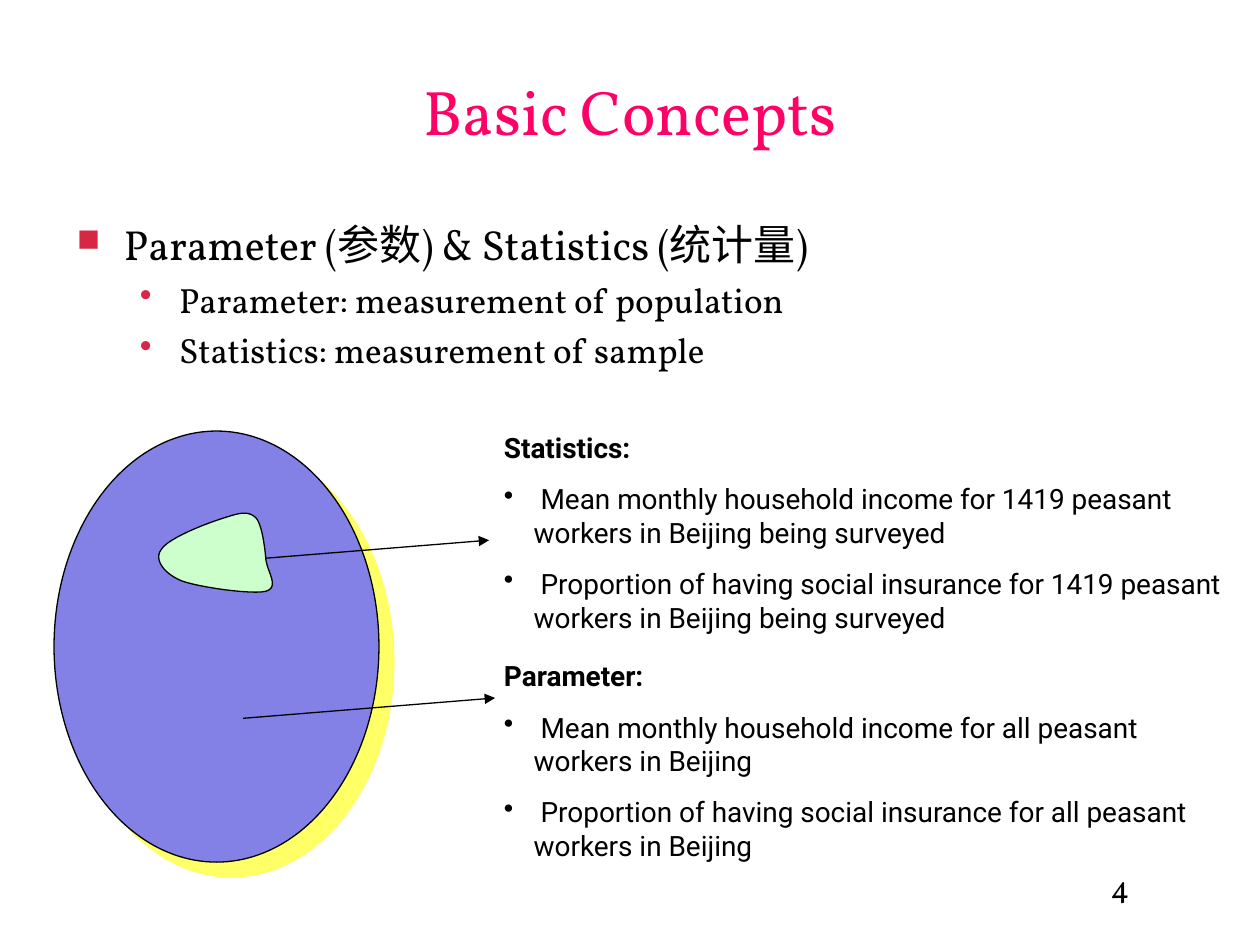
import collections
import dataclasses

import pptx
import pptx.dml.color
import pptx.enum.shapes
import pptx.enum.text
import pptx.oxml
import pptx.oxml.ns
import pptx.util
from lxml import etree

Cm = pptx.util.Cm
Pt = pptx.util.Pt
Align = pptx.enum.text.PP_ALIGN
Anchor = pptx.enum.text.MSO_ANCHOR
Box = collections.namedtuple("Box", "left top width height")


@dataclasses.dataclass(frozen=True)
class Theme:
    serif: str = "Vollkorn"
    sans: str = "Roboto"
    ink: str = "000000"
    title: str = "FF0066"
    bullet: str = "D62845"
    population: str = "8381E5"
    sample: str = "CCFFCC"
    shadow: str = "FFFF66"
    title_size: int = 36
    topic_size: int = 24
    point_size: int = 20
    note_size: int = 16
    number_size: int = 18
    line: float = 0.75


THEME = Theme()


def rgb(value):
    return pptx.dml.color.RGBColor.from_string(value)


def add_xml(parent, tag, **attributes):
    child = etree.SubElement(parent, pptx.oxml.ns.qn(tag))
    for name, value in attributes.items():
        child.set(name, str(value))
    return child


def add_text_frame(page, box, anchor=Anchor.TOP, wrap=True):
    shape = page.shapes.add_textbox(*(Cm(length) for length in box))
    frame = shape.text_frame
    frame.word_wrap = wrap
    frame.vertical_anchor = anchor
    return frame


def add_para(frame, text, font=THEME.serif, size=THEME.point_size, color=THEME.ink,
             bold=False, align=Align.LEFT, before=0, bullet=None,
             bullet_color=THEME.ink, bullet_percent=100, indent=0, hang=0, level=0):
    """Fill the first empty paragraph, or append one; indent and hang are in cm."""
    para = frame.paragraphs[0]
    if para.runs:
        para = frame.add_paragraph()
    para.alignment = align
    para.level = level
    para.space_before = Pt(before)
    properties = para._p.get_or_add_pPr()
    properties.set("marL", str(Cm(indent)))
    properties.set("indent", str(-Cm(hang)))
    if bullet:
        add_xml(add_xml(properties, "a:buClr"), "a:srgbClr", val=bullet_color)
        add_xml(properties, "a:buSzPct", val=bullet_percent * 1000)
        add_xml(properties, "a:buChar", char=bullet)
    span = para.add_run()
    span.text = text
    span.font.name = font
    span.font.size = Pt(size)
    span.font.bold = bold
    span.font.color.rgb = rgb(color)


def paint(shape, fill):
    shape.shadow.inherit = False
    shape.fill.solid()
    shape.fill.fore_color.rgb = rgb(fill)
    shape.line.color.rgb = rgb(THEME.ink)
    shape.line.width = Pt(THEME.line)


def add_arrow(page, left, top, run, rise):
    arrow = page.shapes.add_connector(
        pptx.enum.shapes.MSO_CONNECTOR.STRAIGHT,
        Cm(left), Cm(top), Cm(left + run), Cm(top - rise))
    arrow.line.color.rgb = rgb(THEME.ink)
    arrow.line.width = Pt(THEME.line)
    add_xml(arrow.line._get_or_add_ln(), "a:tailEnd", type="triangle")
    add_xml(arrow._element.spPr, "a:effectLst")


def curve_points(start, curves, steps=12):
    """Sample a chain of cubic curves, each given as two handles and an end."""
    for first, second, end in curves:
        for step in range(1, steps + 1):
            t = step / steps
            u = 1 - t
            weights = (u ** 3, 3 * u * u * t, 3 * u * t * t, t ** 3)
            corners = (start, first, second, end)
            yield tuple(sum(w * corner[axis] for w, corner in zip(weights, corners))
                        for axis in (0, 1))
        start = end


def add_sample(page, left, top):
    start = (1.42, 0.15)
    curves = [
        ((1.09, 0.25), (0.28, 0.56), (0.15, 0.79)),
        ((0, 0.99), (0.2, 1.27), (0.56, 1.42)),
        ((0.91, 1.55), (1.98, 1.7), (2.26, 1.63)),
        ((2.54, 1.55), (2.29, 1.24), (2.26, 0.99)),
        ((2.24, 0.74), (2.18, 0.28), (2.06, 0.15)),
        ((1.9, 0), (1.73, 0.05), start),
    ]
    builder = page.shapes.build_freeform(Cm(start[0]), Cm(start[1]))
    builder.add_line_segments([(Cm(x), Cm(y)) for x, y in curve_points(start, curves)])
    paint(builder.convert_to_shape(Cm(left), Cm(top)), THEME.sample)


def add_population_diagram(page, box):
    population = page.shapes.add_shape(
        pptx.enum.shapes.MSO_SHAPE.OVAL, *(Cm(length) for length in box))
    paint(population, THEME.population)
    effects = population._element.spPr.find(pptx.oxml.ns.qn("a:effectLst"))
    shadow = add_xml(effects, "a:outerShdw", dist=Pt(12.1), dir=45 * 60000,
                     algn="ctr", rotWithShape=0)
    add_xml(shadow, "a:srgbClr", val=THEME.shadow)
    arrow = {"run": 5.08, "rise": 0.41}
    add_arrow(page, box.left + 3.69, box.top + 2.61, **arrow)
    add_sample(page, box.left + 2.01, box.top + 1.6)
    add_arrow(page, box.left + 3.81, box.top + 5.79, **arrow)


def add_title(page, box):
    frame = add_text_frame(page, box, anchor=Anchor.BOTTOM)
    add_para(frame, "Basic Concepts", size=THEME.title_size, color=THEME.title,
             align=Align.CENTER)


def add_definitions(page, box):
    frame = add_text_frame(page, box)
    add_para(frame, "Parameter (参数) & Statistics (统计量)", size=THEME.topic_size,
             bullet="■", bullet_color=THEME.bullet, bullet_percent=75,
             indent=0.95, hang=0.95)
    for text in ("Parameter: measurement of population",
                 "Statistics: measurement of sample"):
        add_para(frame, text, before=5, bullet="•", bullet_color=THEME.bullet,
                 indent=2.06, hang=0.79, level=1)


def add_examples(page, box, heading, group):
    frame = add_text_frame(page, box)
    style = {"font": THEME.sans, "size": THEME.note_size}
    add_para(frame, heading, bold=True, **style)
    for measure in ("Mean monthly household income", "Proportion of having social insurance"):
        add_para(frame, f" {measure} for {group}", before=10, bullet="•",
                 indent=0.6, hang=0.6, **style)


def add_page_number(page, box):
    frame = add_text_frame(page, box, wrap=False)
    add_para(frame, "4", size=THEME.number_size, indent=0.3)


def main():
    deck = pptx.Presentation()
    deck.slide_width, deck.slide_height = Cm(25.4), Cm(19.05)
    page = deck.slides.add_slide(deck.slide_layouts[6])
    add_page_number(page, Box(21.84, 17.35, 4.06, 1.17))
    add_examples(page, Box(9.91, 13.16, 14.6, 4.34), "Parameter:",
                 "all peasant workers in Beijing")
    add_title(page, Box(1.9, 0.86, 21.6, 2.26))
    add_definitions(page, Box(1.3, 4.29, 24, 11.43))
    add_examples(page, Box(9.91, 8.56, 15, 4.34), "Statistics:",
                 "1419 peasant workers in Beijing being surveyed")
    add_population_diagram(page, Box(1.09, 8.69, 6.55, 8.69))
    deck.save("out.pptx")


if __name__ == "__main__":
    main()
